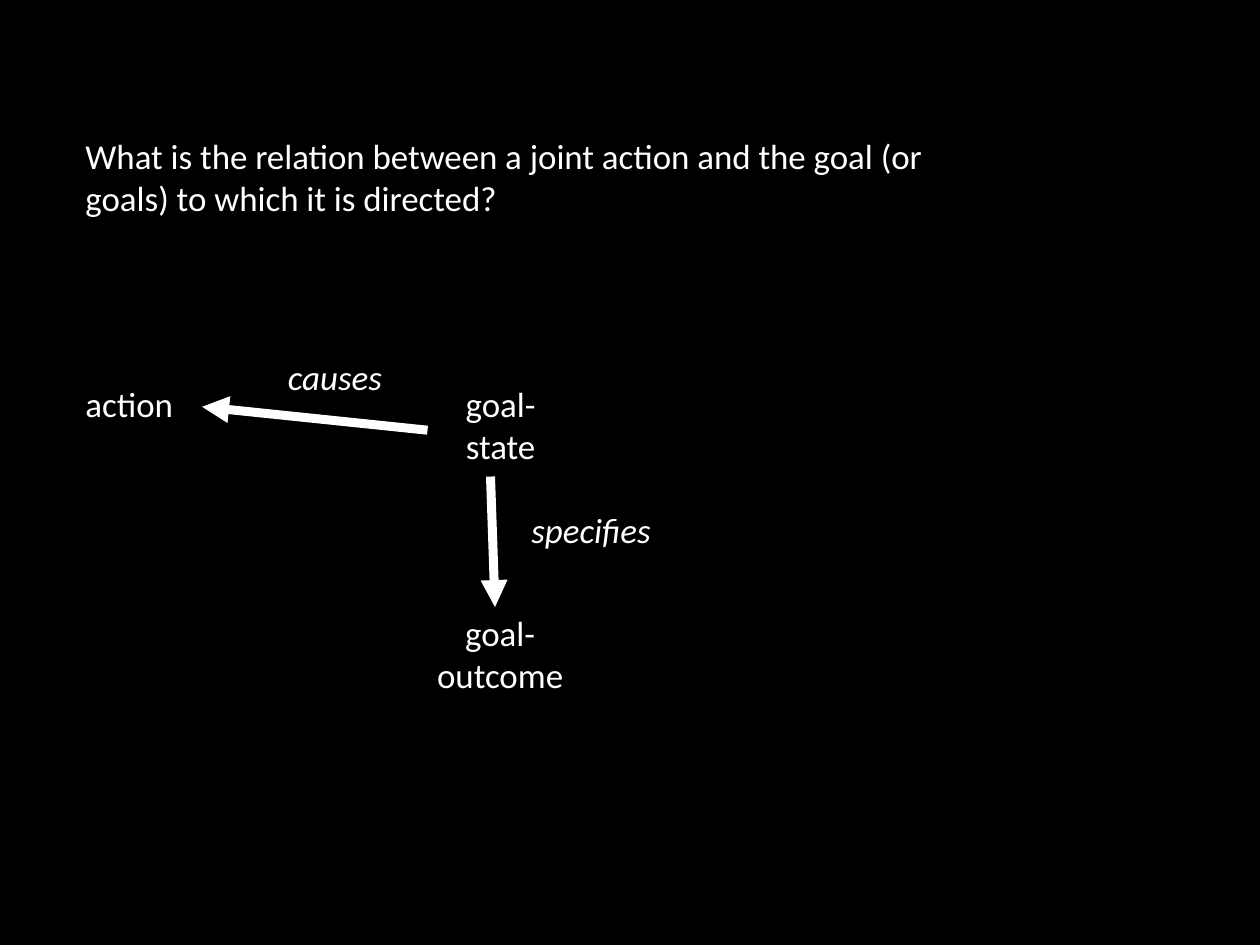
from dataclasses import dataclass

from lxml.etree import SubElement
from pptx import Presentation
from pptx.dml.color import RGBColor
from pptx.enum.shapes import MSO_CONNECTOR
from pptx.enum.text import MSO_AUTO_SIZE, PP_ALIGN
from pptx.oxml.ns import qn
from pptx.shapes.autoshape import Shape
from pptx.shapes.connector import Connector
from pptx.slide import Slide
from pptx.util import Cm, Pt

COLORS = {"back": "000000", "ink": "FFFFFF"}
FONT = "Calibri"
LINE = 1.32  # height of a one-line box, cm
PAIR = 2.36  # height of a two-line box, cm


@dataclass
class Label:
    text: str
    left: float
    top: float
    width: float
    height: float
    align: PP_ALIGN = PP_ALIGN.LEFT
    italic: bool = False


QUERY = Label(
    "What is the relation between a joint action and the goal (or goals) "
    "to which it is directed?", 1.65, 2.87, 20.27, PAIR)
ACTION = Label("action", 1.65, 8.38, 2.84, LINE)
STATE = Label("goal-state", 9.5, 8.38, 3.25, PAIR, PP_ALIGN.CENTER)
RESULT = Label("goal-outcome", 8.74, 13.46, 4.75, PAIR, PP_ALIGN.CENTER)
CAUSES = Label("causes", 6.15, 7.77, 2.84, LINE, italic=True)
DEFINES = Label("specifies", 11.56, 11.18, 3.96, LINE, italic=True)


def add_label(slide: Slide, label: Label) -> Shape:
    box = slide.shapes.add_textbox(
        Cm(label.left), Cm(label.top), Cm(label.width), Cm(label.height))
    frame = box.text_frame
    frame.word_wrap = True
    frame.auto_size = MSO_AUTO_SIZE.SHAPE_TO_FIT_TEXT
    frame.text = label.text
    para = frame.paragraphs[0]
    para.alignment = label.align
    font = para.runs[0].font
    font.name = FONT
    font.size = Pt(22)
    font.italic = label.italic
    font.color.rgb = RGBColor.from_string(COLORS["ink"])
    return box


def add_arrow(slide: Slide, x1: float, y1: float, x2: float, y2: float) -> Connector:
    arrow = slide.shapes.add_connector(
        MSO_CONNECTOR.STRAIGHT, Cm(x1), Cm(y1), Cm(x2), Cm(y2))
    arrow.line.color.rgb = RGBColor.from_string(COLORS["ink"])
    arrow.line.width = Pt(5.67)
    SubElement(arrow.line._get_or_add_ln(), qn("a:tailEnd"), type="triangle")
    SubElement(arrow._element.spPr, qn("a:effectLst"))
    return arrow


def main() -> None:
    deck = Presentation()
    deck.slide_width, deck.slide_height = Cm(28), Cm(21)
    slide = deck.slides.add_slide(deck.slide_layouts[6])
    fill = slide.background.fill
    fill.solid()
    fill.fore_color.rgb = RGBColor.from_string(COLORS["back"])

    add_label(slide, QUERY)
    action = add_label(slide, ACTION)
    state = add_label(slide, STATE)
    add_label(slide, RESULT)

    cause = add_arrow(slide, 9.5, 9.5, 4.5, 9)
    cause.begin_connect(state, 1)
    cause.end_connect(action, 3)
    add_arrow(slide, 10.9, 10.59, 11, 13.49)

    for label in (CAUSES, DEFINES):
        add_label(slide, label)
    deck.save("out.pptx")


if __name__ == "__main__":
    main()
